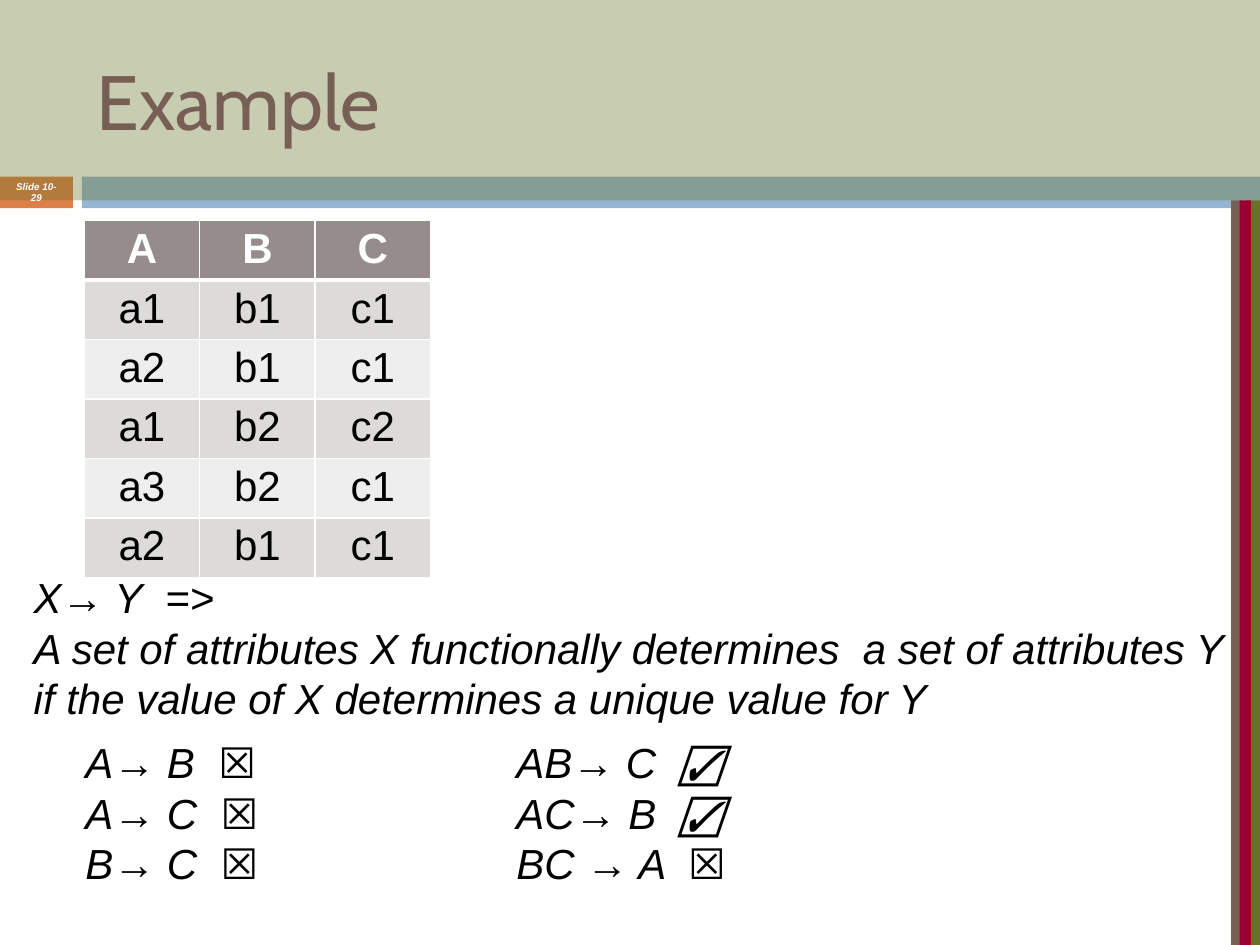
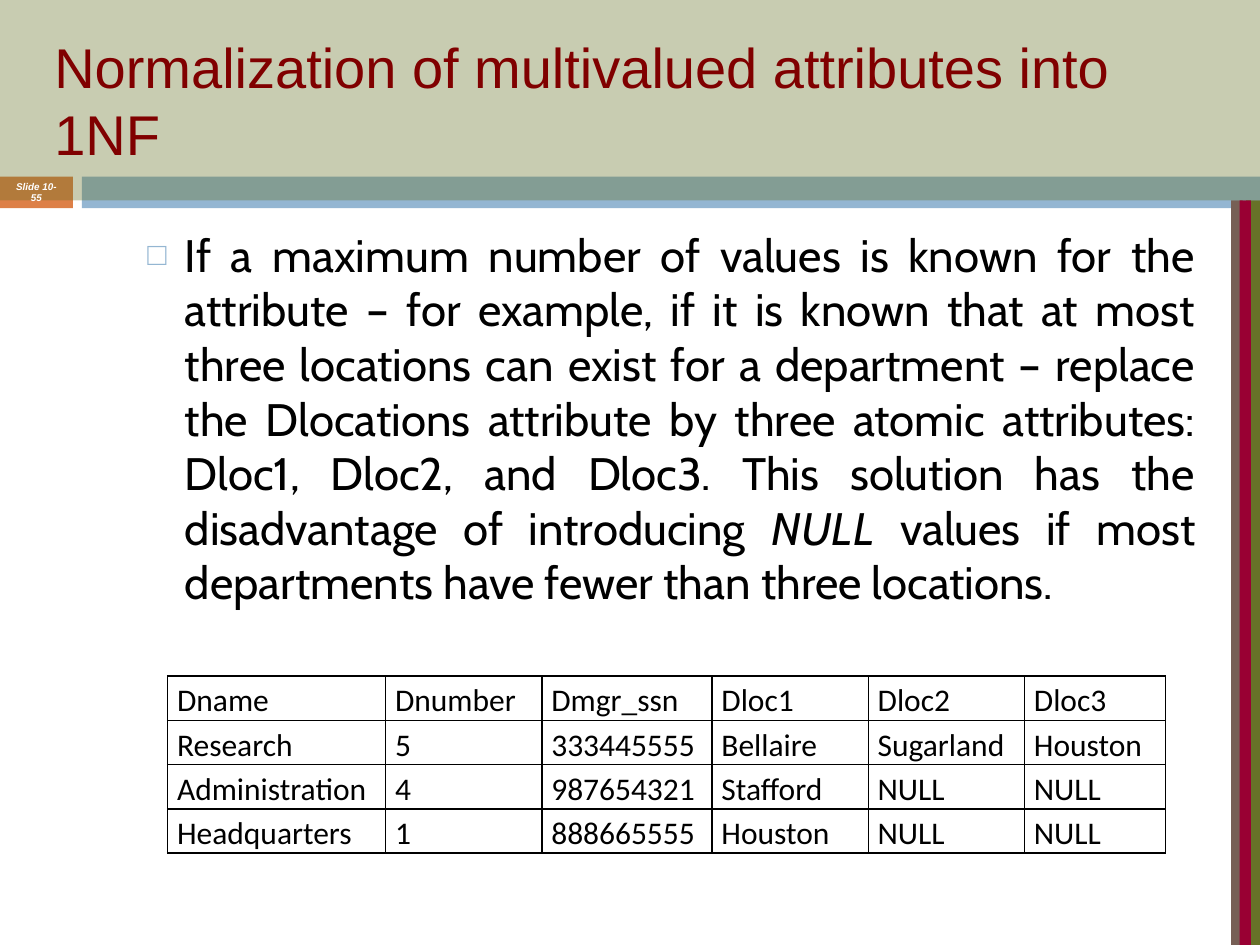
from dataclasses import dataclass
from itertools import product

from lxml.etree import SubElement as Sub
from pptx import Presentation
from pptx.dml.color import RGBColor as Rgb
from pptx.enum.shapes import MSO_SHAPE as Shape
from pptx.enum.text import MSO_ANCHOR as Anchor
from pptx.enum.text import MSO_AUTO_SIZE as Fit
from pptx.enum.text import PP_ALIGN as Align
from pptx.oxml.ns import qn
from pptx.util import Cm, Pt


@dataclass(frozen=True)
class Theme:
    black: str = "000000"
    white: str = "FFFFFF"
    orange: str = "DD8047"
    blue: str = "94B6D2"
    olive: str = "677228"
    brown: str = "775F55"
    wine: str = "990033"
    maroon: str = "800000"
    head: str = "968C8C"
    dark: str = "DDDADA"
    light: str = "EFEEEE"
    sans: str = "Arial"
    soft: str = "Cabin"
    plain: str = "Calibri"
    large: float = 44
    title: float = 32
    body: float = 26
    text: float = 24
    cell: float = 18
    tiny: float = 5.6


T = Theme()
WIDE, HIGH = 25.4, 19.05
KEYS = ("A", "B", "C")
ROWS = (("a1", "b1", "c1"), ("a2", "b1", "c1"), ("a1", "b2", "c2"),
        ("a3", "b2", "c1"), ("a2", "b1", "c1"))
RULE = ("X→ Y  =>",
        "A set of attributes X functionally determines  a set of attributes Y",
        "if the value of X determines a unique value for Y")
TESTS = (("A→ B  ☒", "A→ C  ☒", "B→ C  ☒"),
         ("AB→ C  ☑", "AC→ B  ☑", "BC → A  ☒"))
NOTE = ("If a maximum number of values is known for the attribute – for example, "
        "if it is known that at most three locations can exist for a department – "
        "replace the Dlocations attribute by three atomic attributes: Dloc1, Dloc2, "
        "and Dloc3. This solution has the disadvantage of introducing *NULL* values "
        "if most departments have fewer than three locations.")
DEPTS = (("Dname", "Dnumber", "Dmgr_ssn", "Dloc1", "Dloc2", "Dloc3"),
         ("Research", "5", "333445555", "Bellaire", "Sugarland", "Houston"),
         ("Administration", "4", "987654321", "Stafford", "NULL", "NULL"),
         ("Headquarters", "1", "888665555", "Houston", "NULL", "NULL"))


def cms(box):
    return [Cm(v) for v in box]


def write(frame, lines, size=T.text, font=T.sans, color=T.black, bold=False,
          slant=False, align=Align.LEFT, lead=None, before=0):
    for n, line in enumerate(lines):
        para = frame.add_paragraph() if n else frame.paragraphs[0]
        para.alignment = align
        para.space_before = Pt(before)
        if lead:
            para.line_spacing = lead
        for k, part in enumerate(line.split("*")):
            run = para.add_run()
            run.text = part
            face = run.font
            face.name, face.size, face.bold = font, Pt(size), bold
            face.italic = slant or k % 2 == 1
            face.color.rgb = Rgb.from_string(color)


def label(slide, box, lines, wrap=True, anchor=Anchor.TOP, **style):
    frame = slide.shapes.add_textbox(*cms(box)).text_frame
    frame.word_wrap = wrap
    frame.auto_size = Fit.NONE if wrap else Fit.SHAPE_TO_FIT_TEXT
    frame.vertical_anchor = anchor
    write(frame, lines, **style)
    return frame


def bar(slide, box, color, alpha=None):
    rect = slide.shapes.add_shape(Shape.RECTANGLE, *cms(box))
    rect.shadow.inherit = False
    rect.line.fill.background()
    rect.fill.solid()
    rect.fill.fore_color.rgb = Rgb.from_string(color)
    if alpha:
        tint = rect.element.spPr.find(qn("a:solidFill"))[0]
        Sub(tint, qn("a:alpha"), val=str(alpha * 1000))


def bands(slide, box, page):
    x, y, w, h = box
    top, deep, tab, start = 3.56, 4.04, 1.47, 1.65
    bar(slide, (x, y + top, tab, 0.64), T.orange)
    bar(slide, (x + start, y + top, w - start, 0.64), T.blue)
    for gap, wide, color in ((0.28, 0.28, T.olive), (0.58, 0.23, T.brown),
                             (0.41, 0.23, T.wine)):
        bar(slide, (x + w - gap, y + deep, wide, h - deep), color)
    bar(slide, (x, y, w, deep), T.olive, 36)
    label(slide, (x, y + top - 0.03, tab, 0.69), [f"Slide 10- {page}"],
          anchor=Anchor.MIDDLE, size=T.tiny, color=T.white, bold=True,
          slant=True, align=Align.CENTER)


def head(slide, box, text, **style):
    title = slide.shapes.title
    slide.shapes.element.append(title.element)
    title.left, title.top, title.width, title.height = cms(box)
    frame = title.text_frame
    frame.word_wrap = True
    frame.auto_size = Fit.NONE
    frame.vertical_anchor = Anchor.MIDDLE
    write(frame, [text], **style)


def edge(cell, side, color, width):
    line = Sub(cell._tc.get_or_add_tcPr(), qn(f"a:ln{side}"), w=str(Pt(width)))
    Sub(Sub(line, qn("a:solidFill")), qn("a:srgbClr"), val=color)


def grid(slide, box, rows, parts, look, pad, color, thick=1):
    x, y, w, h = box
    table = slide.shapes.add_table(len(rows), len(parts), *cms(box)).table
    table.first_row = table.horz_banding = False
    for col, part in zip(table.columns, parts):
        col.width = Cm(w * part / sum(parts))
    for row in table.rows:
        row.height = Cm(h / len(rows))
    for r, c in product(range(len(rows)), range(len(parts))):
        cell = table.cell(r, c)
        cell.margin_left = cell.margin_right = Cm(pad[0])
        cell.margin_top = cell.margin_bottom = Cm(pad[1])
        for side in "LRTB":
            under = (r, side) in ((0, "B"), (1, "T"))
            edge(cell, side, color, thick if under else 1)
        fill, style = look(r)
        if fill:
            cell.fill.solid()
            cell.fill.fore_color.rgb = Rgb.from_string(fill)
        else:
            cell.fill.background()
        write(cell.text_frame, [rows[r][c]], **style)


def striped(r):
    if r == 0:
        return T.head, dict(color=T.white, bold=True, align=Align.CENTER)
    return (T.dark if r % 2 else T.light), dict(align=Align.CENTER)


def ruled(r):
    return None, dict(size=T.cell, font=T.plain, lead=1.15)


def bullet(para, left, hang):
    props = para._p.get_or_add_pPr()
    props.set("marL", str(Cm(left)))
    props.set("indent", str(-Cm(hang)))
    Sub(Sub(props, qn("a:buClr")), qn("a:srgbClr"), val=T.blue)
    Sub(props, qn("a:buSzPct"), val="70000")
    Sub(props, qn("a:buFont"), typeface=T.sans)
    Sub(props, qn("a:buChar"), char="□")


def sample(slide, box):
    x, y, w, h = box
    bands(slide, box, 29)
    head(slide, (x + 1.7, y + 0.64, 22.66, 2.74), "Example",
         size=T.large, font=T.soft, color=T.brown)
    grid(slide, (x + 1.7, y + 4.45, 6.98, 7.19), (KEYS, *ROWS), (1, 1, 1),
         striped, (0.23, 0.1), T.white, 3)
    label(slide, (x + 0.43, y + 11.4, 24.97, 3.33), RULE, wrap=False, slant=True)
    for left, wide, tests in zip((1.47, 10.16), (4.9, 4.98), TESTS):
        label(slide, (x + left, y + 14.73, wide, 3.33), tests,
              wrap=False, slant=True)


def normal(slide, box):
    x, y, w, h = box
    bands(slide, box, 55)
    frame = label(slide, (x + 1.7, y + 4.45, 22.66, 12.5), [NOTE], size=T.body,
                  font=T.soft, align=Align.JUSTIFY, before=5.5)
    bullet(frame.paragraphs[0], 1.78, 0.76)
    grid(slide, (x + 3.38, y + 13.63, 20.12, 3.56), DEPTS,
         (1.73, 1.24, 1.35, 1.24, 1.24, 1.12), ruled, (0.19, 0), T.black)
    head(slide, (x + 0.84, y + 0.64, 23.5, 2.74),
         "Normalization of multivalued attributes into 1NF",
         size=T.title, color=T.maroon)


def main():
    deck = Presentation()
    deck.slide_width, deck.slide_height = Cm(WIDE), Cm(HIGH)
    for build in (sample, normal):
        build(deck.slides.add_slide(deck.slide_layouts[5]), (0, 0, WIDE, HIGH))
    deck.save("out.pptx")


if __name__ == "__main__":
    main()
